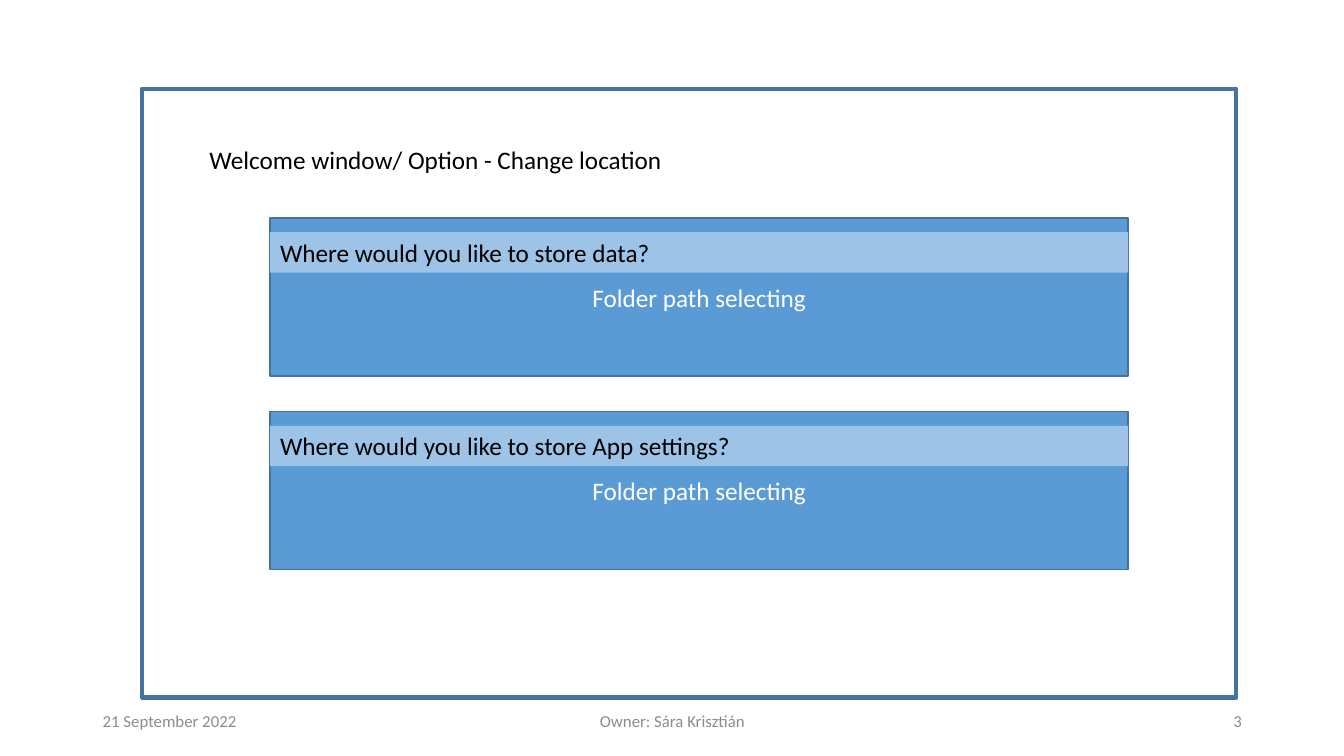
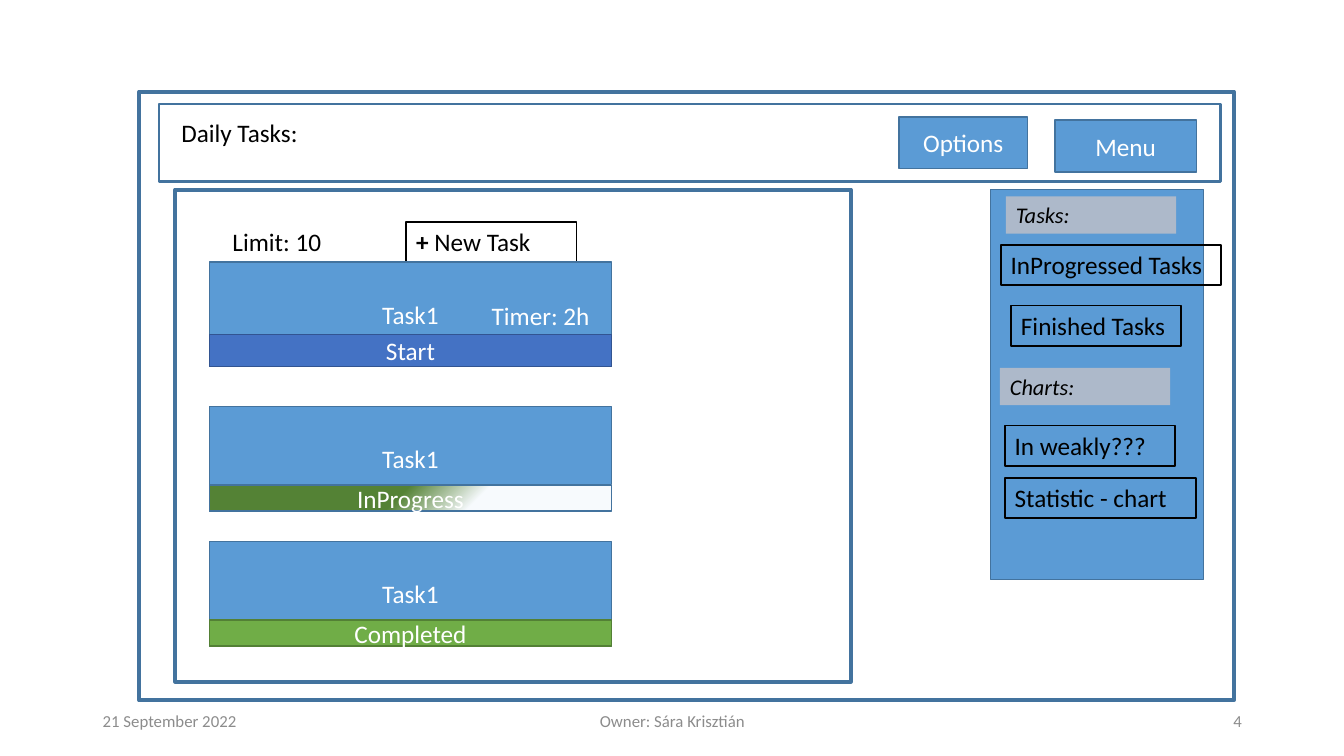
from lxml import etree
from pptx import Presentation
from pptx.dml.color import RGBColor
from pptx.enum.shapes import MSO_SHAPE
from pptx.enum.text import MSO_ANCHOR, PP_ALIGN
from pptx.oxml.ns import qn
from pptx.util import Cm, Pt

RECTANGLE = MSO_SHAPE.RECTANGLE
TOP, MIDDLE = MSO_ANCHOR.TOP, MSO_ANCHOR.MIDDLE
LEFT, CENTER, RIGHT = PP_ALIGN.LEFT, PP_ALIGN.CENTER, PP_ALIGN.RIGHT

FONT = "Calibri"
BLACK, WHITE, GREY = "000000", "FFFFFF", "8C8C8C"
BLUE, LIGHT_BLUE, OUTLINE = "5B9BD5", "9DC3E6", "43739E"
INDIGO, INDIGO_OUTLINE = "4472C4", "325491"
GREEN, GREEN_OUTLINE = "70AD47", "538035"
DARK_GREEN, PALE, LABEL_GREY = "548235", "F7FAFD", "ADB9CA"

# All lengths are in centimetres; areas are (left, top, width, height).
SLIDE_SIZE = (33.87, 19.05)
FRAME_SIZE = (27.58, 15.34)
ROW_HEIGHT = 1.02
LABEL_HEIGHT = 0.94

FOOTER_TOP = 17.65
FOOTER_DATE = "21 September 2022"
FOOTER_OWNER = "Owner: Sára Krisztián"

LOCATION_TITLE = "Welcome window/ Option - Change location"
QUESTIONS = ["Where would you like to store data?",
             "Where would you like to store App settings?"]
PANEL_TEXT = "Folder path selecting"
PANEL_LEFT, PANEL_TOP, PANEL_WIDTH, PANEL_HEIGHT = 6.81, 5.49, 21.62, 3.99
PANEL_PITCH, QUESTION_OFFSET = 4.88, 0.36

BUTTONS = [("Options", (22.66, 2.95, 3.23, 1.3)),
           ("Menu", (26.59, 3.02, 3.56, 1.32))]

TASK_LEFT, TASK_WIDTH, TASK_HEIGHT = 5.28, 10.13, 2.64
# top, status, status height, fill (a pair is a gradient), outline
TASKS = [(6.6, "Start", 0.81, INDIGO, INDIGO_OUTLINE),
         (10.24, "InProgress", 0.66, (PALE, DARK_GREEN), OUTLINE),
         (13.64, "Completed", 0.66, GREEN, GREEN_OUTLINE)]
GRADIENT_POSITIONS = (0.34, 0.53)

SIDEBAR = (24.97, 4.78, 5.36, 9.83)
# text, left, top, width
SIDEBAR_LABELS = [("Tasks:", 25.35, 4.95, 4.29),
                  ("Charts:", 25.2, 9.27, 4.29)]
SIDEBAR_ITEMS = [("InProgressed Tasks", 25.22, 6.17, 5.56),
                 ("Finished Tasks", 25.48, 7.7, 4.29),
                 ("In weakly???", 25.32, 10.72, 4.29),
                 ("Statistic - chart", 25.32, 12.04, 4.83)]


def rgb(color):
    return RGBColor.from_string(color)


def style_font(font, size, color, bold=False, italic=False):
    font.name, font.size = FONT, Pt(size)
    font.bold, font.italic = bold, italic
    font.color.rgb = rgb(color)


def write(shape, text, size=18, color=BLACK, align=LEFT, anchor=TOP,
          bold=False, italic=False):
    frame = shape.text_frame
    frame.word_wrap = True
    frame.vertical_anchor = anchor
    frame.text = text
    paragraph = frame.paragraphs[0]
    paragraph.alignment = align
    style_font(paragraph.runs[0].font, size, color, bold, italic)
    return paragraph


def fill_radial(shape, colors):
    """Fill with a circular gradient that spreads from the lower right corner."""
    shape.fill.gradient()
    for stop, color, position in zip(shape.fill.gradient_stops, colors, GRADIENT_POSITIONS):
        stop.color.rgb = rgb(color)
        stop.position = position
    gradient = shape.element.spPr.find(qn("a:gradFill"))
    gradient.remove(gradient.find(qn("a:lin")))
    path = etree.SubElement(gradient, qn("a:path"), path="circle")
    etree.SubElement(path, qn("a:fillToRect"), l="100000", t="100000")


def add_box(slide, area, fill=None, line=None, line_width=1):
    shape = slide.shapes.add_shape(RECTANGLE, *map(Cm, area))
    shape.shadow.inherit = False
    if isinstance(fill, tuple):
        fill_radial(shape, fill)
    elif fill:
        shape.fill.solid()
        shape.fill.fore_color.rgb = rgb(fill)
    else:
        shape.fill.background()
    if line:
        shape.line.color.rgb = rgb(line)
        shape.line.width = Pt(line_width)
    else:
        shape.line.fill.background()
    return shape


def add_block(slide, area, text, fill=BLUE, line=OUTLINE):
    """Add a filled box with white text in its middle."""
    write(add_box(slide, area, fill, line), text, color=WHITE, align=CENTER, anchor=MIDDLE)


def add_item(slide, left, top, width, text, **style):
    """Add a black outlined row and return its paragraph."""
    box = add_box(slide, (left, top, width, ROW_HEIGHT), line=BLACK, line_width=1.25)
    return write(box, text, **style)


def add_text(slide, left, top, width, text, **style):
    write(slide.shapes.add_textbox(*map(Cm, (left, top, width, ROW_HEIGHT))), text, **style)


def add_window_slide(presentation, left, top, number):
    """Add a blank slide with the window frame and the footer."""
    slide = presentation.slides.add_slide(presentation.slide_layouts[6])
    add_box(slide, (left, top, *FRAME_SIZE), line=OUTLINE, line_width=3)
    footers = [(2.34, 7.62, FOOTER_DATE, LEFT),
               (11.23, 11.43, FOOTER_OWNER, CENTER),
               (23.93, 7.62, str(number), RIGHT)]
    for footer_left, width, text, align in footers:
        add_text(slide, footer_left, FOOTER_TOP, width, text,
                 size=12, color=GREY, align=align, anchor=MIDDLE)
    return slide


def build_location_slide(presentation):
    slide = add_window_slide(presentation, 3.58, 2.24, 3)
    add_text(slide, 5.03, 3.51, 12.22, LOCATION_TITLE)
    for index, question in enumerate(QUESTIONS):
        top = PANEL_TOP + index * PANEL_PITCH
        add_block(slide, (PANEL_LEFT, top, PANEL_WIDTH, PANEL_HEIGHT), PANEL_TEXT)
        band = (PANEL_LEFT, top + QUESTION_OFFSET, PANEL_WIDTH, ROW_HEIGHT)
        write(add_box(slide, band, LIGHT_BLUE), question)


def build_task_slide(presentation):
    slide = add_window_slide(presentation, 3.51, 2.31, 4)
    add_box(slide, (4.01, 2.62, 26.75, 1.96), line=OUTLINE, line_width=2)
    add_text(slide, 4.32, 2.82, 3.48, "Daily Tasks:")
    for text, area in BUTTONS:
        add_block(slide, area, text)

    add_box(slide, (4.42, 4.78, 17.02, 12.4), line=OUTLINE, line_width=3)
    add_text(slide, 5.61, 5.59, 3, "Limit: 10")
    new_task = add_item(slide, 10.24, 5.59, 4.29, "+", bold=True)
    run = new_task.add_run()
    run.text = " New Task"
    style_font(run.font, 18, BLACK)
    for top, status, height, fill, line in TASKS:
        add_block(slide, (TASK_LEFT, top, TASK_WIDTH, TASK_HEIGHT), "Task1")
        status_top = top + TASK_HEIGHT - height
        add_block(slide, (TASK_LEFT, status_top, TASK_WIDTH, height), status, fill, line)
    add_text(slide, 12.14, 7.44, 3.66, "Timer: 2h", color=WHITE)

    add_box(slide, SIDEBAR, BLUE, OUTLINE)
    for text, left, top, width in SIDEBAR_LABELS:
        label = add_box(slide, (left, top, width, LABEL_HEIGHT), LABEL_GREY)
        write(label, text, size=16, italic=True)
    for text, left, top, width in SIDEBAR_ITEMS:
        add_item(slide, left, top, width, text)


def main():
    presentation = Presentation()
    presentation.slide_width, presentation.slide_height = map(Cm, SLIDE_SIZE)
    build_location_slide(presentation)
    build_task_slide(presentation)
    presentation.save("out.pptx")


if __name__ == "__main__":
    main()
